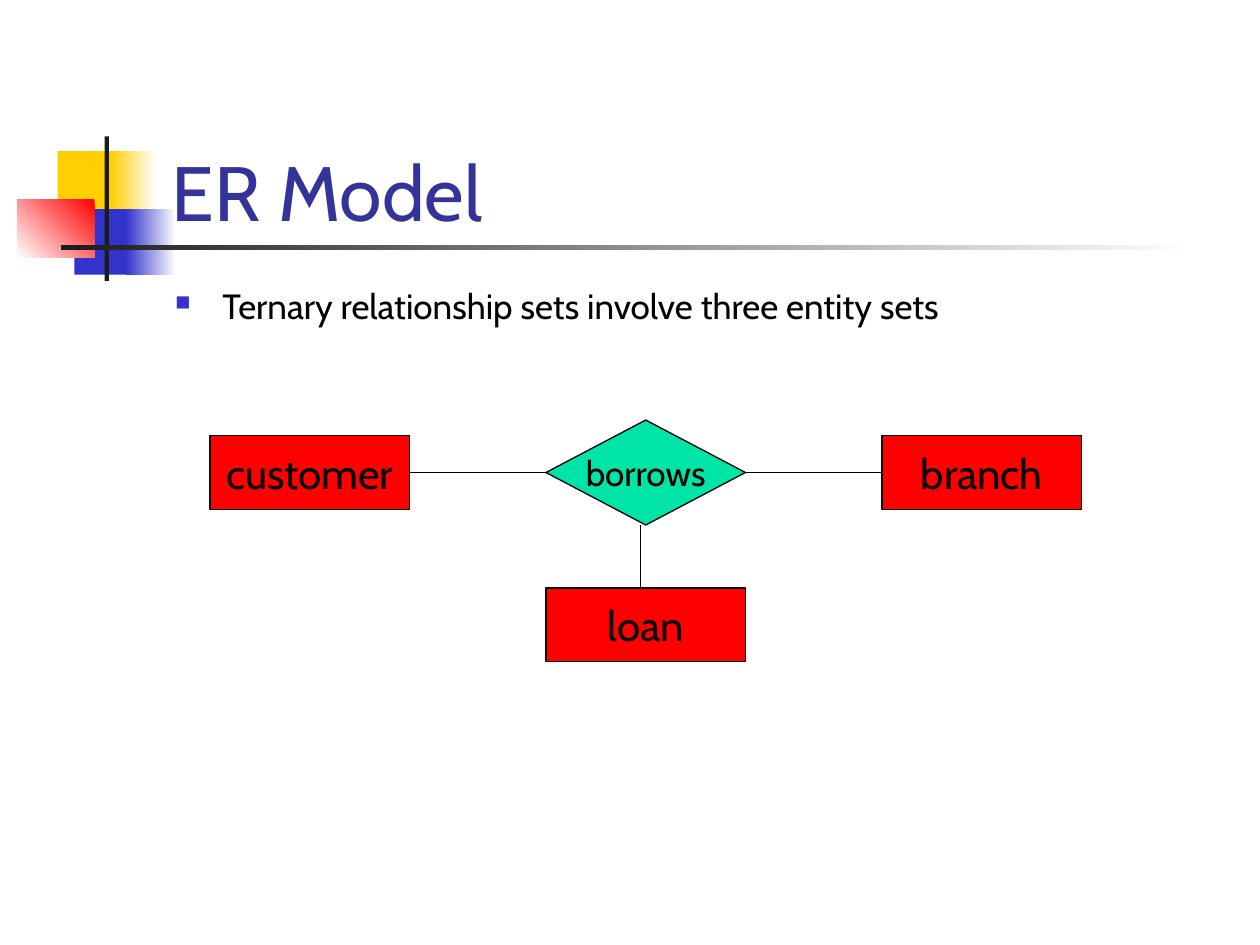
from dataclasses import dataclass
from typing import Optional

from lxml import etree
from pptx import Presentation
from pptx.dml.color import RGBColor
from pptx.enum import shapes, text
from pptx.oxml import ns
from pptx.util import Pt


@dataclass(frozen=True)
class Theme:
    font: str = "Cabin"
    title_size: float = 44
    entity_size: float = 24
    body_size: float = 20
    line_width: float = 0.75
    title: str = "333399"
    black: str = "000000"
    white: str = "FFFFFF"
    yellow: str = "FFCF01"
    blue: str = "3333CC"
    red: str = "FF0000"
    bar: str = "1C1C1C"
    relationship: str = "00E4A8"


THEME = Theme()


@dataclass(frozen=True)
class Box:
    left: float
    top: float
    width: float
    height: float

    def lengths(self) -> tuple:
        return Pt(self.left), Pt(self.top), Pt(self.width), Pt(self.height)


@dataclass(frozen=True)
class Decoration:
    box: Box
    color: str
    fade_angle: Optional[float] = None  # counter-clockwise; None is a solid fill


@dataclass(frozen=True)
class Node:
    label: str
    box: Box
    color: str = THEME.red
    size: float = THEME.entity_size
    kind: shapes.MSO_SHAPE = shapes.MSO_SHAPE.RECTANGLE


@dataclass(frozen=True)
class Link:
    start: tuple[float, float]
    end: tuple[float, float]


DECORATIONS = (
    Decoration(Box(33, 86.4, 34.5, 37.5), THEME.yellow),
    Decoration(Box(63, 86.4, 26, 37.5), THEME.yellow, fade_angle=0),
    Decoration(Box(42.5, 119.5, 33, 37.5), THEME.blue),
    Decoration(Box(72, 119.5, 28.5, 37.5), THEME.blue, fade_angle=0),
    Decoration(Box(10, 113.8, 44, 33.5), THEME.red, fade_angle=225),
    Decoration(Box(59.8, 78, 2.5, 82.5), THEME.bar),
    Decoration(Box(34.8, 140.2, 648, 2.5), THEME.bar, fade_angle=0),
)

NODE_WIDTH, ENTITY_HEIGHT = 114, 42
NODES = (
    Node("customer", Box(120, 249, NODE_WIDTH, ENTITY_HEIGHT)),
    Node("borrows", Box(312, 240, NODE_WIDTH, 60), THEME.relationship,
         THEME.body_size, shapes.MSO_SHAPE.DIAMOND),
    Node("loan", Box(312, 336, NODE_WIDTH, ENTITY_HEIGHT)),
    Node("branch", Box(504, 249, NODE_WIDTH, ENTITY_HEIGHT)),
)

LINKS = (
    Link((234, 270), (312, 270)),
    Link((426, 270), (504, 270)),
    Link((366, 300), (366, 336)),
)


def rgb(color: str) -> RGBColor:
    return RGBColor.from_string(color)


def write_text(shape, content: str, *, size: float, color: str = THEME.black,
               align=text.PP_ALIGN.LEFT, anchor=text.MSO_ANCHOR.TOP,
               wrap: bool = True):
    frame = shape.text_frame
    frame.word_wrap = wrap
    frame.vertical_anchor = anchor
    paragraph = frame.paragraphs[0]
    paragraph.alignment = align
    run = paragraph.add_run()
    run.text = content
    run.font.name = THEME.font
    run.font.size = Pt(size)
    run.font.color.rgb = rgb(color)
    return paragraph


def add_bullet(paragraph, indent: float) -> None:
    properties = paragraph._p.get_or_add_pPr()
    properties.set("marL", str(Pt(indent)))
    properties.set("indent", str(-Pt(indent)))
    color = etree.SubElement(properties, ns.qn("a:buClr"))
    etree.SubElement(color, ns.qn("a:srgbClr"), val=THEME.blue)
    etree.SubElement(properties, ns.qn("a:buSzPct"), val="60000")
    etree.SubElement(properties, ns.qn("a:buChar"), char="■")


def add_decoration(slide, decoration: Decoration) -> None:
    shape = slide.shapes.add_shape(
        shapes.MSO_SHAPE.RECTANGLE, *decoration.box.lengths())
    shape.shadow.inherit = False
    shape.line.fill.background()
    if decoration.fade_angle is None:
        shape.fill.solid()
        shape.fill.fore_color.rgb = rgb(decoration.color)
        return
    shape.fill.gradient()
    shape.fill.gradient_angle = decoration.fade_angle
    colors = (decoration.color, THEME.white)
    for stop, color in zip(shape.fill.gradient_stops, colors):
        stop.color.rgb = rgb(color)


def style_line(line) -> None:
    line.color.rgb = rgb(THEME.black)
    line.width = Pt(THEME.line_width)


def add_node(slide, node: Node) -> None:
    shape = slide.shapes.add_shape(node.kind, *node.box.lengths())
    shape.shadow.inherit = False
    shape.fill.solid()
    shape.fill.fore_color.rgb = rgb(node.color)
    style_line(shape.line)
    write_text(shape, node.label, size=node.size, wrap=False,
               align=text.PP_ALIGN.CENTER, anchor=text.MSO_ANCHOR.MIDDLE)


def add_link(slide, link: Link) -> None:
    ends = (Pt(value) for value in link.start + link.end)
    connector = slide.shapes.add_connector(shapes.MSO_CONNECTOR.STRAIGHT, *ends)
    style_line(connector.line)
    etree.SubElement(connector._element.spPr, ns.qn("a:effectLst"))


def main() -> None:
    presentation = Presentation()
    presentation.slide_width, presentation.slide_height = Pt(720), Pt(540)
    slide = presentation.slides.add_slide(presentation.slide_layouts[6])

    for decoration in DECORATIONS:
        add_decoration(slide, decoration)

    title = slide.shapes.add_textbox(*Box(91, 49, 613.5, 90).lengths())
    write_text(title, "ER Model", size=THEME.title_size, color=THEME.title,
               anchor=text.MSO_ANCHOR.BOTTOM)

    body = slide.shapes.add_textbox(*Box(93, 159, 612, 324).lengths())
    paragraph = write_text(
        body, "Ternary relationship sets involve three entity sets",
        size=THEME.body_size)
    paragraph.space_before = Pt(5)
    add_bullet(paragraph, indent=27)

    for node in NODES:
        add_node(slide, node)
    for link in LINKS:
        add_link(slide, link)

    presentation.save("out.pptx")


if __name__ == "__main__":
    main()
